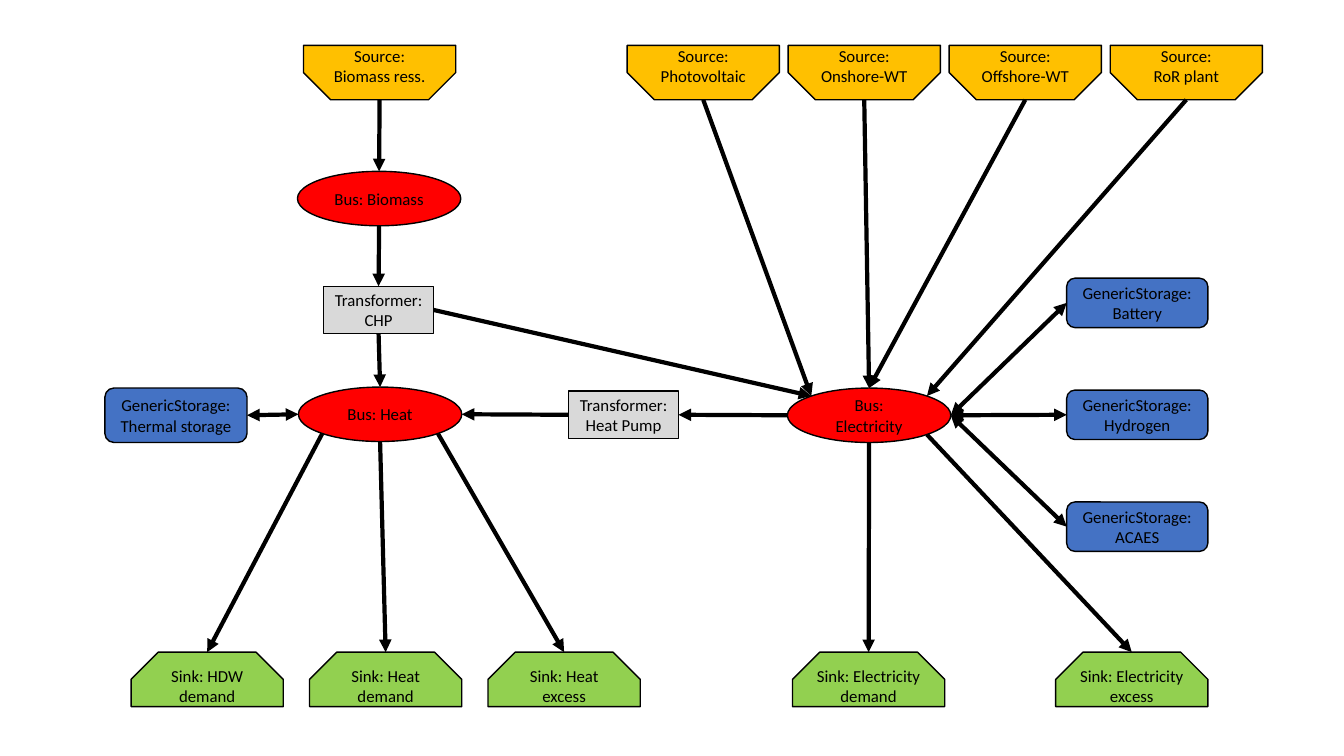
from lxml import etree
from pptx import Presentation
from pptx.dml.color import RGBColor
from pptx.enum.shapes import MSO_CONNECTOR, MSO_SHAPE
from pptx.enum.text import MSO_ANCHOR, PP_ALIGN
from pptx.oxml.ns import qn
from pptx.util import Inches, Pt

SNIPPED = MSO_SHAPE.SNIP_2_SAME_RECTANGLE
ELLIPSE = MSO_SHAPE.OVAL
RECTANGLE = MSO_SHAPE.RECTANGLE
ROUNDED = MSO_SHAPE.ROUNDED_RECTANGLE
STRAIGHT = MSO_CONNECTOR.STRAIGHT
CENTER = PP_ALIGN.CENTER
MIDDLE = MSO_ANCHOR.MIDDLE

BLACK = RGBColor(0x00, 0x00, 0x00)
AMBER = RGBColor(0xFF, 0xC0, 0x00)
RED = RGBColor(0xFF, 0x00, 0x00)
GREEN = RGBColor(0x92, 0xD0, 0x50)
BLUE = RGBColor(0x44, 0x72, 0xC4)
GRAY = RGBColor(0xD9, 0xD9, 0xD9)

NEAR, FAR = 0.146, 0.854
SIDES = {
    "top": (0.5, 0), "left": (0, 0.5), "bottom": (0.5, 1), "right": (1, 0.5),
    "top left": (NEAR, NEAR), "top right": (FAR, NEAR),
    "bottom left": (NEAR, FAR), "bottom right": (FAR, FAR),
}
SITES = {"top": 0, "left": 1, "bottom": 2, "right": 3}


class EnergyDiagram:
    font = "Calibri"
    size = Pt(12)
    outline = Pt(1)
    arrow_width = Pt(3)

    def __init__(self, page):
        self.page = page

    def node(self, kind, color, text, left, top, width, height):
        box = self.page.shapes.add_shape(
            kind, Inches(left), Inches(top), Inches(width), Inches(height))
        box.shadow.inherit = False
        box.fill.solid()
        box.fill.fore_color.rgb = color
        box.line.color.rgb = BLACK
        box.line.width = self.outline
        frame = box.text_frame
        frame.word_wrap = True
        frame.vertical_anchor = MIDDLE
        frame.text = text
        for para in frame.paragraphs:
            para.alignment = CENTER
            for span in para.runs:
                span.font.name = self.font
                span.font.size = self.size
                span.font.color.rgb = BLACK
        return box

    def source(self, text, left, top=0.45):
        box = self.node(SNIPPED, AMBER, text, left, top, 1.51, 0.54)
        box.adjustments[0], box.adjustments[1] = 0, 0.5
        return box

    def sink(self, text, left, top=6.47):
        box = self.node(SNIPPED, GREEN, text, left, top, 1.51, 0.54)
        box.adjustments[0], box.adjustments[1] = 0.5, 0
        return box

    def bus(self, text, left, top):
        return self.node(ELLIPSE, RED, text, left, top, 1.62, 0.54)

    def transformer(self, text, left, top):
        return self.node(RECTANGLE, GRAY, text, left, top, 1.09, 0.47)

    def storage(self, text, left, top, width=1.4, height=0.49):
        return self.node(ROUNDED, BLUE, text, left, top, width, height)

    def point(self, box, side):
        across, down = SIDES[side]
        return (int(box.left + across * box.width),
                int(box.top + down * box.height))

    def arrow(self, start, start_side, end, end_side, both_ways=False):
        line = self.page.shapes.add_connector(
            STRAIGHT, *self.point(start, start_side), *self.point(end, end_side))
        if start.auto_shape_type in (RECTANGLE, ROUNDED):
            line.begin_connect(start, SITES[start_side])
        if end.auto_shape_type in (RECTANGLE, ROUNDED):
            line.end_connect(end, SITES[end_side])
        line.line.color.rgb = BLACK
        line.line.width = self.arrow_width
        properties = line._element.spPr
        stroke = properties.find(qn("a:ln"))
        for tip in ("a:headEnd", "a:tailEnd") if both_ways else ("a:tailEnd",):
            etree.SubElement(stroke, qn(tip)).set("type", "triangle")
        etree.SubElement(properties, qn("a:effectLst"))


def main():
    deck = Presentation()
    deck.slide_width, deck.slide_height = Inches(13.33), Inches(7.5)
    diagram = EnergyDiagram(deck.slides.add_slide(deck.slide_layouts[6]))

    biomass = diagram.source("Source: Biomass ress.", 3.01)
    photovoltaic, onshore, offshore, river = [
        diagram.source(text, 6.22 + 1.597 * column)
        for column, text in enumerate((
            "Source: Photovoltaic", "Source: Onshore-WT",
            "Source: Offshore-WT", "Source:\nRoR plant"))]

    biomass_bus = diagram.bus("Bus: Biomass", 2.95, 1.7)
    heat_bus = diagram.bus("Bus: Heat", 2.96, 3.84)
    power_bus = diagram.bus("Bus: Electricity", 7.81, 3.85)

    chp = diagram.transformer("Transformer:\nCHP", 3.21, 2.84)
    heat_pump = diagram.transformer("Transformer:\nHeat Pump", 5.64, 3.88)

    thermal = diagram.storage("GenericStorage: Thermal storage", 1.04, 3.85, 1.41, 0.54)
    power_stores = [
        diagram.storage("GenericStorage: " + name, 10.58, 2.76 + 1.11 * row)
        for row, name in enumerate(("Battery", "Hydrogen", "ACAES"))]

    hot_water, heat_demand, heat_excess = [
        diagram.sink(text, 1.3 + 1.77 * column)
        for column, text in enumerate((
            "Sink: HDW demand", "Sink: Heat demand", "Sink: Heat excess"))]
    power_demand = diagram.sink("Sink: Electricity demand", 7.86)
    power_excess = diagram.sink("Sink: Electricity excess", 10.47)

    for link in (
        (biomass, "bottom", biomass_bus, "top"),
        (biomass_bus, "bottom", chp, "top"),
        (chp, "bottom", heat_bus, "top"),
        (chp, "right", power_bus, "top left"),
        (photovoltaic, "bottom", power_bus, "top left"),
        (onshore, "bottom", power_bus, "top"),
        (offshore, "bottom", power_bus, "top"),
        (river, "bottom", power_bus, "top right"),
        (power_bus, "left", heat_pump, "right"),
        (heat_pump, "left", heat_bus, "right"),
        (heat_bus, "bottom left", hot_water, "top"),
        (heat_bus, "bottom", heat_demand, "top"),
        (heat_bus, "bottom right", heat_excess, "top"),
        (power_bus, "bottom", power_demand, "top"),
        (power_bus, "bottom right", power_excess, "top"),
    ):
        diagram.arrow(*link)

    diagram.arrow(thermal, "right", heat_bus, "left", both_ways=True)
    for store in power_stores:
        diagram.arrow(power_bus, "right", store, "left", both_ways=True)

    deck.save("out.pptx")


if __name__ == "__main__":
    main()
